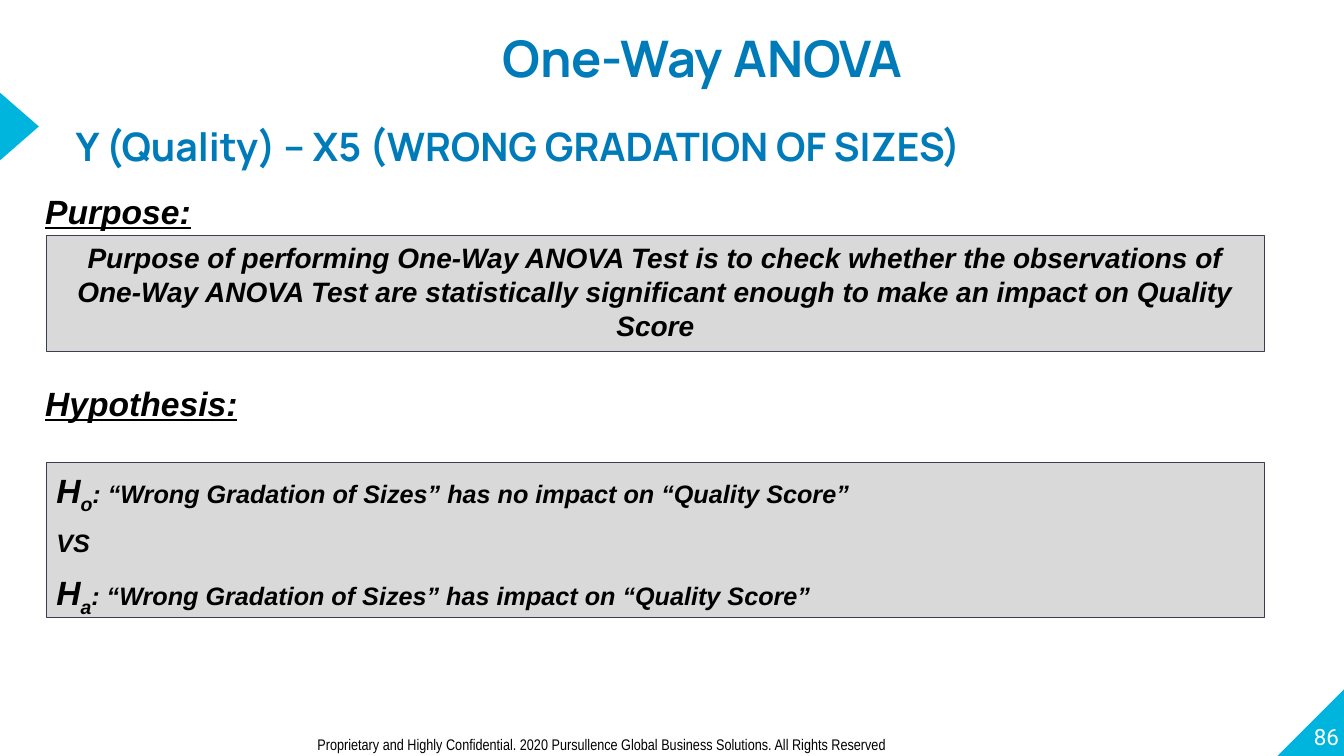
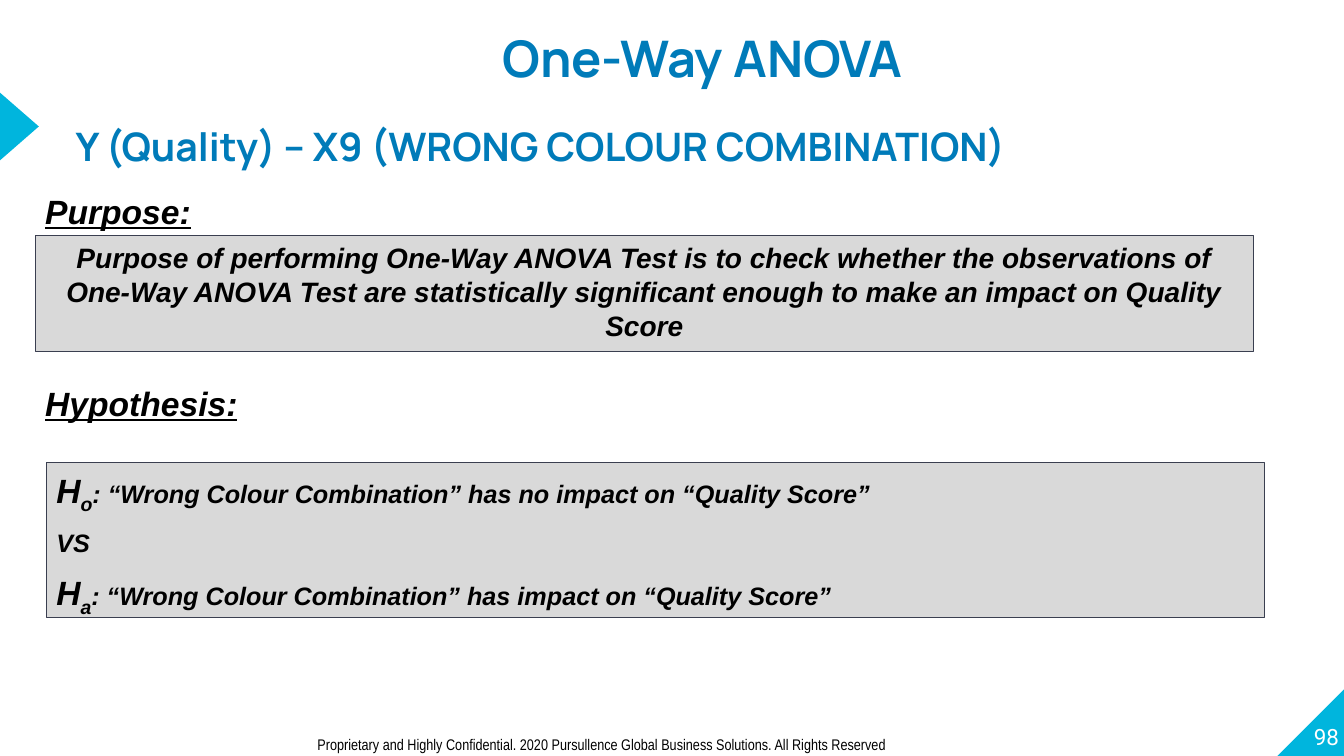
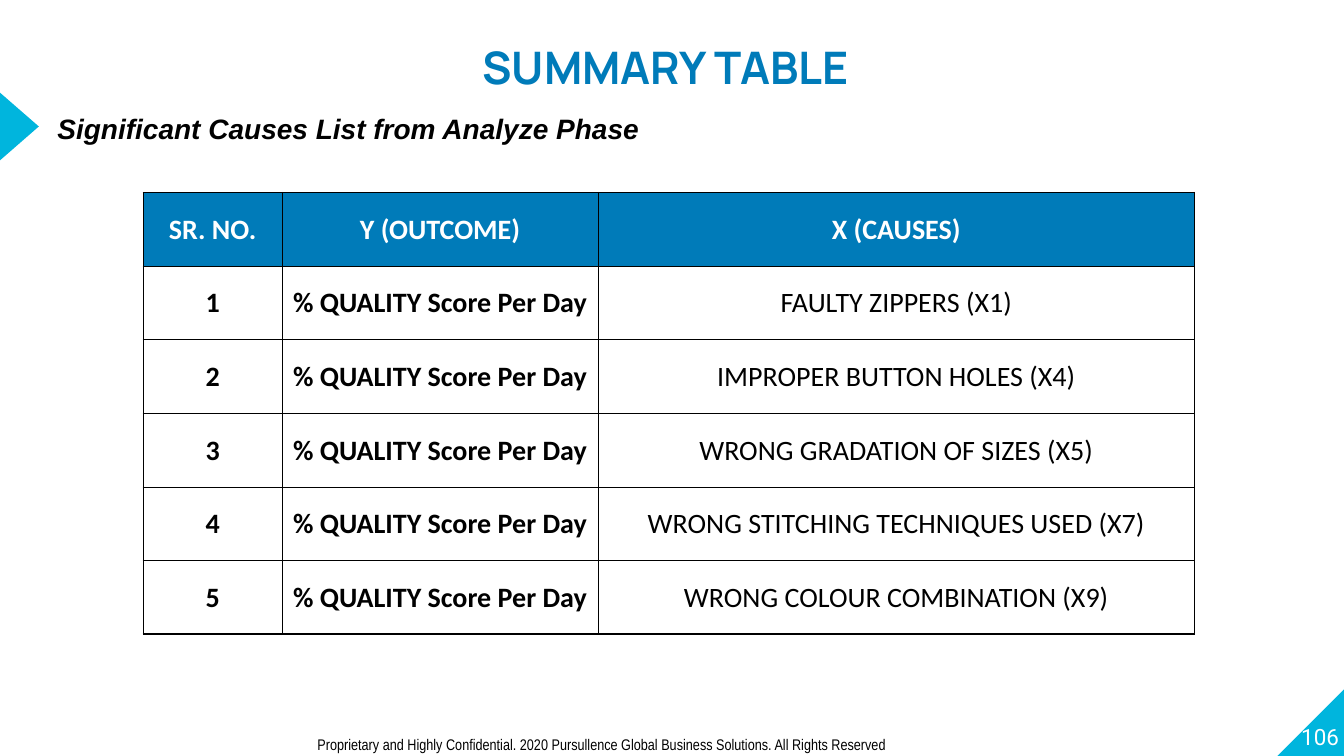
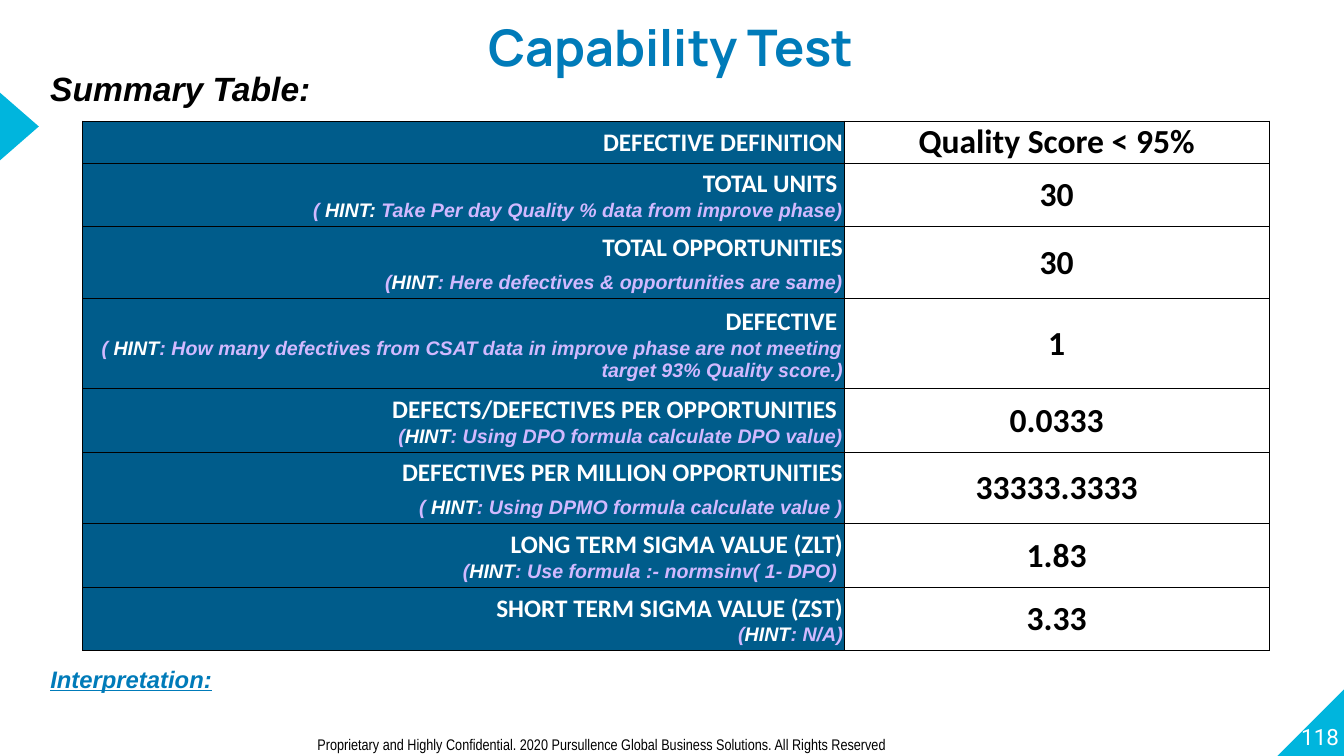
"""Build four Six Sigma slides: two ANOVA set-ups, a cause list and a capability test."""
from lxml import etree
from pptx import Presentation
from pptx import util as u
from pptx.dml import color as dml
from pptx.enum import shapes, text
from pptx.oxml.ns import qn

PX = 9144
BLUE, NAVY, CYAN, LILAC = "007BB9", "005C8B", "00B5DD", "D1B9FF"
GREY, EDGE, BLACK, WHITE = "D9D9D9", "3A3F50", "000000", "FFFFFF"
LEFT, CENTER, RIGHT = text.PP_ALIGN.LEFT, text.PP_ALIGN.CENTER, text.PP_ALIGN.RIGHT
TOP, MIDDLE, BOTTOM = text.MSO_ANCHOR.TOP, text.MSO_ANCHOR.MIDDLE, text.MSO_ANCHOR.BOTTOM

FOOTER = ("Proprietary and Highly Confidential. 2020 Pursullence Global Business Solutions. "
          "All Rights Reserved")
PURPOSE = ("Purpose of performing One-Way ANOVA Test is to check whether the observations of "
           "One-Way ANOVA Test are statistically significant enough to make an impact on "
           "Quality Score")

ANOVAS = [
    {"page": 86, "factor": "X5", "cause": "Wrong Gradation of Sizes", "purpose_left": 46},
    {"page": 98, "factor": "X9", "cause": "Wrong Colour Combination", "purpose_left": 35},
]

CAUSE_HEADS = ["SR. NO.", "Y (OUTCOME)", "X (CAUSES)"]
CAUSE_COLS = [138, 313, 592]
OUTCOME = "% QUALITY Score Per Day"
CAUSES = [
    "FAULTY ZIPPERS (X1)",
    "IMPROPER BUTTON HOLES (X4)",
    "WRONG GRADATION OF SIZES (X5)",
    "WRONG STITCHING TECHNIQUES USED (X7)",
    "WRONG COLOUR COMBINATION (X9)",
]

CAPABILITY_COLS = [755, 422]
CAPABILITY = [
    ("DEFECTIVE DEFINITION", None, "Quality Score < 95%", 40, 0),
    ("TOTAL UNITS ", ("( ", "HINT:", " Take Per day Quality % data from improve phase)"),
     "30", 63, 0),
    ("TOTAL OPPORTUNITIES", ("(", "HINT", ": Here defectives & opportunities are same)"),
     "30", 71, 6),
    ("DEFECTIVE ", ("( ", "HINT", ": How many defectives from CSAT data in improve phase "
                    "are not meeting target 93% Quality score.)"), "1", 90, 0),
    ("DEFECTS/DEFECTIVES PER OPPORTUNITIES ",
     ("(", "HINT", ": Using DPO formula calculate DPO value)"), "0.0333", 63, 0),
    ("DEFECTIVES PER MILLION OPPORTUNITIES",
     ("( ", "HINT", ": Using DPMO formula calculate value )"), "33333.3333", 71, 6),
    ("LONG TERM SIGMA VALUE (ZLT)",
     ("(", "HINT", ": Use formula :- normsinv( 1- DPO) "), "1.83", 63, 0),
    ("SHORT TERM SIGMA VALUE (ZST)", ("(", "HINT", ": N/A)"), "3.33", 63, 0),
]


def rgb(value):
    return dml.RGBColor.from_string(value)


def px(*values):
    return [u.Emu(v * PX) for v in values]


def write(p, words, size=20, font="Arial", color=BLACK, bold=True, italic=True,
          underline=False, sub=False):
    r = p.add_run()
    r.text = words
    f = r.font
    f.size, f.name, f.bold, f.italic, f.underline = u.Pt(size), font, bold, italic, underline
    f.color.rgb = rgb(color)
    if sub:
        r._r.get_or_add_rPr().set("baseline", "-25000")


def frame(sp, inset=(10, 5), anchor=TOP):
    tf = sp.text_frame
    tf.word_wrap, tf.auto_size, tf.vertical_anchor = True, text.MSO_AUTO_SIZE.NONE, anchor
    tf.margin_left = tf.margin_right = px(inset[0])[0]
    tf.margin_top = tf.margin_bottom = px(inset[1])[0]
    return tf


def add_text(s, box, words, inset=(10, 5), anchor=TOP, align=LEFT, spacing=None, **fmt):
    p = frame(s.shapes.add_textbox(*px(*box)), inset, anchor).paragraphs[0]
    p.alignment, p.line_spacing = align, spacing
    write(p, words, **fmt)


def add_shape(s, kind, box, fill, line=None, rotation=0):
    sp = s.shapes.add_shape(kind, *px(*box))
    sp.shadow.inherit = False
    sp.rotation = rotation
    sp.fill.solid()
    sp.fill.fore_color.rgb = rgb(fill)
    if line:
        sp.line.color.rgb, sp.line.width = rgb(line), u.Pt(0.75)
    else:
        sp.line.fill.background()
    return sp


def add_panel(s, left, top, height):
    sp = add_shape(s, shapes.MSO_SHAPE.RECTANGLE, (left, top, 1208, height), GREY, EDGE)
    return frame(sp)


def add_slide(prs, page, title, box, size=36):
    s = prs.slides.add_slide(prs.slide_layouts[5])
    sp = s.shapes.title
    sp.left, sp.top, sp.width, sp.height = px(*box)
    p = frame(sp, (0, 0)).paragraphs[0]
    p.alignment, p.line_spacing = CENTER, 1.5
    write(p, title, size=size, font="Manrope", color=BLUE, italic=False)
    add_shape(s, shapes.MSO_SHAPE.RIGHT_TRIANGLE, (1267, 682, 68, 68), CYAN, rotation=270)
    add_shape(s, shapes.MSO_SHAPE.ISOSCELES_TRIANGLE, (-15, 106, 68, 39), CYAN, rotation=90)
    add_text(s, (1261, 676, 67, 68), str(page), inset=(0, 0), anchor=BOTTOM, align=RIGHT,
             size=16, font="Roboto", color=WHITE, bold=False, italic=False)
    add_text(s, (305, 724, 851, 29), FOOTER, size=11, font="Arial Narrow",
             bold=False, italic=False)
    return s


def add_grid(s, left, top, cols, rows, outer=0.5):
    t = s.shapes.add_table(len(rows), len(cols), *px(left, top, sum(cols), sum(rows))).table
    t.first_row = t.horz_banding = False
    for column, width in zip(t.columns, cols):
        column.width = px(width)[0]
    for row, height in zip(t.rows, rows):
        row.height = px(height)[0]
    for i in range(len(rows)):
        for j in range(len(cols)):
            edges = {"L": j == 0, "R": j == len(cols) - 1, "T": i == 0, "B": i == len(rows) - 1}
            format_cell(t.cell(i, j), edges, outer)
    return t


def format_cell(cell, edges, outer):
    cell.margin_left = cell.margin_right = cell.margin_top = px(1)[0]
    cell.margin_bottom = 0
    cell.vertical_anchor = MIDDLE
    tcPr = cell._tc.get_or_add_tcPr()
    for side, outside in edges.items():
        width = u.Pt(outer if outside else 0.5)
        ln = etree.SubElement(tcPr, qn("a:ln" + side), w=str(int(width)))
        solid = etree.SubElement(ln, qn("a:solidFill"))
        etree.SubElement(solid, qn("a:srgbClr"), val=BLACK)


def fill_cell(cell, words, fill=WHITE, align=CENTER, **fmt):
    cell.fill.solid()
    cell.fill.fore_color.rgb = rgb(fill)
    p = cell.text_frame.paragraphs[0]
    p.alignment = align
    write(p, words, font="Calibri", italic=False, **fmt)


def anova_slide(prs, page, factor, cause, purpose_left):
    s = add_slide(prs, page, "One-Way ANOVA", (211, -3, 971, 76))
    add_text(s, (75, 98, 1064, 61), f"Y (Quality) – {factor} ({cause.upper()})", inset=(0, 0),
             spacing=1.5, size=28, font="Manrope", color=BLUE, italic=False)
    for top, heading in ((184, "Purpose:"), (375, "Hypothesis:")):
        add_text(s, (35, top, 760, 50), heading, size=24, underline=True)
    write(add_panel(s, purpose_left, 234, 115).paragraphs[0], PURPOSE)
    tf = add_panel(s, 46, 459, 154)
    lines = [("o", f": “{cause}” has no impact on “Quality Score”", 0),
             ("", "VS", 7),
             ("a", f": “{cause}” has impact on “Quality Score”", 9)]
    for i, (index, words, before) in enumerate(lines):
        p = tf.add_paragraph() if i else tf.paragraphs[0]
        p.alignment, p.line_spacing, p.space_before = LEFT, 1.05, u.Pt(before)
        if index:
            write(p, "H", size=24)
            write(p, index, size=24, sub=True)
        write(p, words, size=18)


def causes_slide(prs):
    s = add_slide(prs, 106, "SUMMARY TABLE", (330, 13, 661, 91), size=32)
    add_text(s, (47, 106, 599, 44), "Significant Causes List from Analyze Phase")
    t = add_grid(s, 142, 191, CAUSE_COLS, [73] * (len(CAUSES) + 1), outer=1)
    for j, head in enumerate(CAUSE_HEADS):
        fill_cell(t.cell(0, j), head, fill=BLUE, color=WHITE)
    for i, cause in enumerate(CAUSES, 1):
        for j, words in enumerate((str(i), OUTCOME, cause)):
            fill_cell(t.cell(i, j), words, bold=j < 2)


def capability_slide(prs):
    s = add_slide(prs, 118, "Capability Test ", (185, -14, 971, 76))
    add_text(s, (40, 62, 547, 50), "Summary Table:", size=24)
    add_text(s, (40, 654, 1225, 39), "Interpretation:", size=17, color=BLUE, underline=True)
    t = add_grid(s, 82, 120, CAPABILITY_COLS, [row[3] for row in CAPABILITY])
    for i, (label, hint, value, _, before) in enumerate(CAPABILITY):
        fill_cell(t.cell(i, 0), label, fill=NAVY, align=RIGHT, size=18, color=WHITE)
        fill_cell(t.cell(i, 1), value, size=24)
        if hint:
            p = t.cell(i, 0).text_frame.add_paragraph()
            p.alignment, p.space_before = RIGHT, u.Pt(before)
            for words, color in zip(hint, (LILAC, WHITE, LILAC)):
                write(p, words, size=14, color=color)


def main():
    prs = Presentation()
    prs.slide_width, prs.slide_height = px(1333, 750)
    for anova in ANOVAS:
        anova_slide(prs, **anova)
    causes_slide(prs)
    capability_slide(prs)
    prs.save("out.pptx")


if __name__ == "__main__":
    main()
